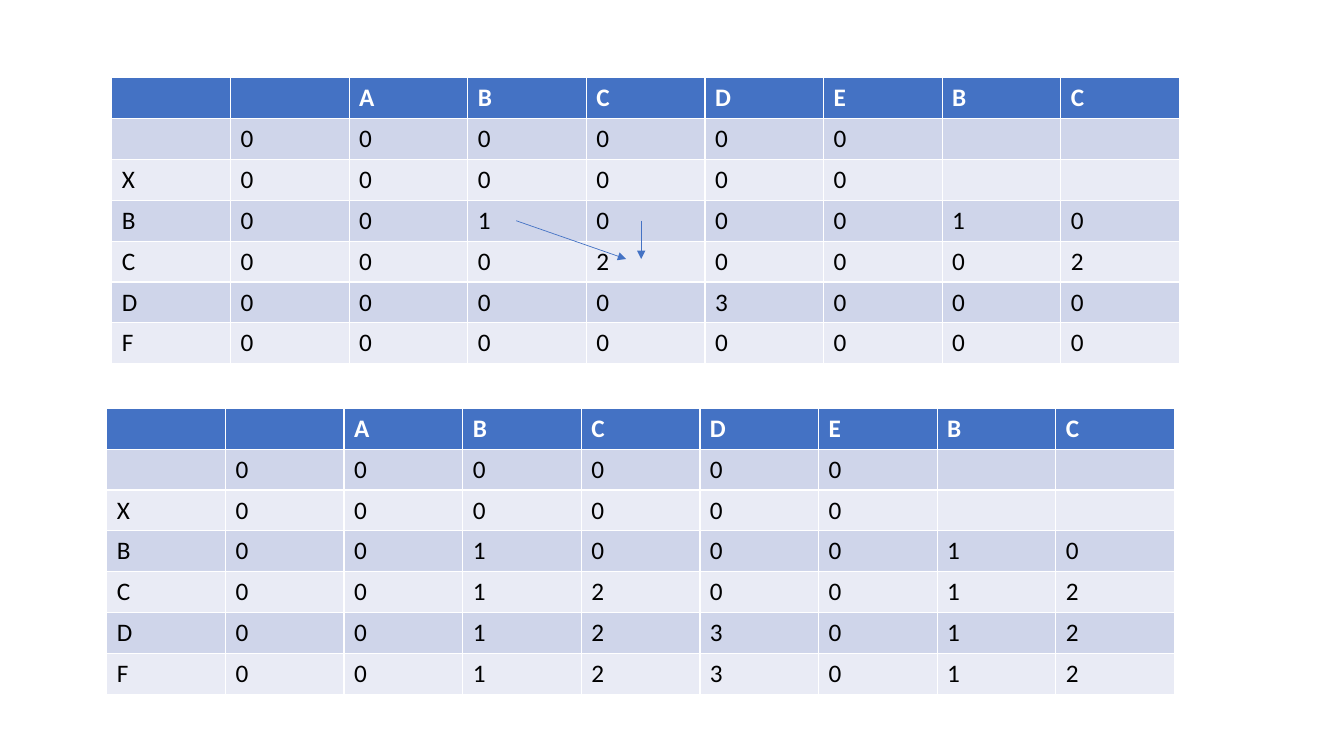
from lxml.etree import SubElement
from pptx import Presentation
from pptx.dml.color import RGBColor
from pptx.enum.shapes import MSO_CONNECTOR as CONN
from pptx.oxml.ns import qn
from pptx.util import Inches, Pt

BLUE = RGBColor(0x44, 0x72, 0xC4)
BAND_DARK = RGBColor(0xCF, 0xD5, 0xEA)
BAND_LIGHT = RGBColor(0xE9, 0xEB, 0xF5)
WHITE = RGBColor(0xFF, 0xFF, 0xFF)
BLACK = RGBColor(0x00, 0x00, 0x00)

TABLE_WIDTH, TABLE_HEIGHT = 10.59, 2.84
HEADER = ["", "", "A", "B", "C", "D", "E", "B", "C"]
START_ROWS = [
    ["", 0, 0, 0, 0, 0, 0, "", ""],
    ["X", 0, 0, 0, 0, 0, 0, "", ""],
    ["B", 0, 0, 1, 0, 0, 0, 1, 0],
]
SUBSTRING_ROWS = [
    ["C", 0, 0, 0, 2, 0, 0, 0, 2],
    ["D", 0, 0, 0, 0, 3, 0, 0, 0],
    ["F", 0, 0, 0, 0, 0, 0, 0, 0],
]
SUBSEQUENCE_ROWS = [
    ["C", 0, 0, 1, 2, 0, 0, 1, 2],
    ["D", 0, 0, 1, 2, 3, 0, 1, 2],
    ["F", 0, 0, 1, 2, 3, 0, 1, 2],
]


def write_text(tf, text, size=18, color=BLACK, bold=False, font="Calibri"):
    r = tf.paragraphs[0].add_run()
    r.text = text
    r.font.size = Pt(size)
    r.font.name = font
    r.font.bold = bold
    r.font.color.rgb = color


def add_grid(s, left, top, rows):
    grid = [HEADER] + START_ROWS + rows
    table = s.shapes.add_table(
        len(grid), len(HEADER), Inches(left), Inches(top),
        Inches(TABLE_WIDTH), Inches(TABLE_HEIGHT)).table
    for i, values in enumerate(grid):
        is_header = i == 0
        band = BAND_DARK if i % 2 else BAND_LIGHT
        for j, value in enumerate(values):
            cell = table.cell(i, j)
            cell.fill.solid()
            cell.fill.fore_color.rgb = BLUE if is_header else band
            if value != "":
                write_text(cell.text_frame, str(value), bold=is_header,
                           color=WHITE if is_header else BLACK)


def add_arrow(s, x1, y1, x2, y2):
    line = s.shapes.add_connector(
        CONN.STRAIGHT, Inches(x1), Inches(y1), Inches(x2), Inches(y2))
    line.line.color.rgb = BLUE
    line.line.width = Pt(0.5)
    SubElement(line.line._get_or_add_ln(), qn("a:tailEnd"), type="triangle")
    SubElement(line._element.spPr, qn("a:effectLst"))


def main():
    prs = Presentation()
    prs.slide_width, prs.slide_height = Inches(13.33), Inches(7.5)
    s = prs.slides.add_slide(prs.slide_layouts[6])
    add_grid(s, 1.11, 0.77, SUBSTRING_ROWS)
    add_arrow(s, 6.36, 2.19, 6.36, 2.57)
    add_grid(s, 1.06, 4.05, SUBSEQUENCE_ROWS)
    add_arrow(s, 5.12, 2.19, 6.21, 2.57)
    prs.save("out.pptx")


if __name__ == "__main__":
    main()
